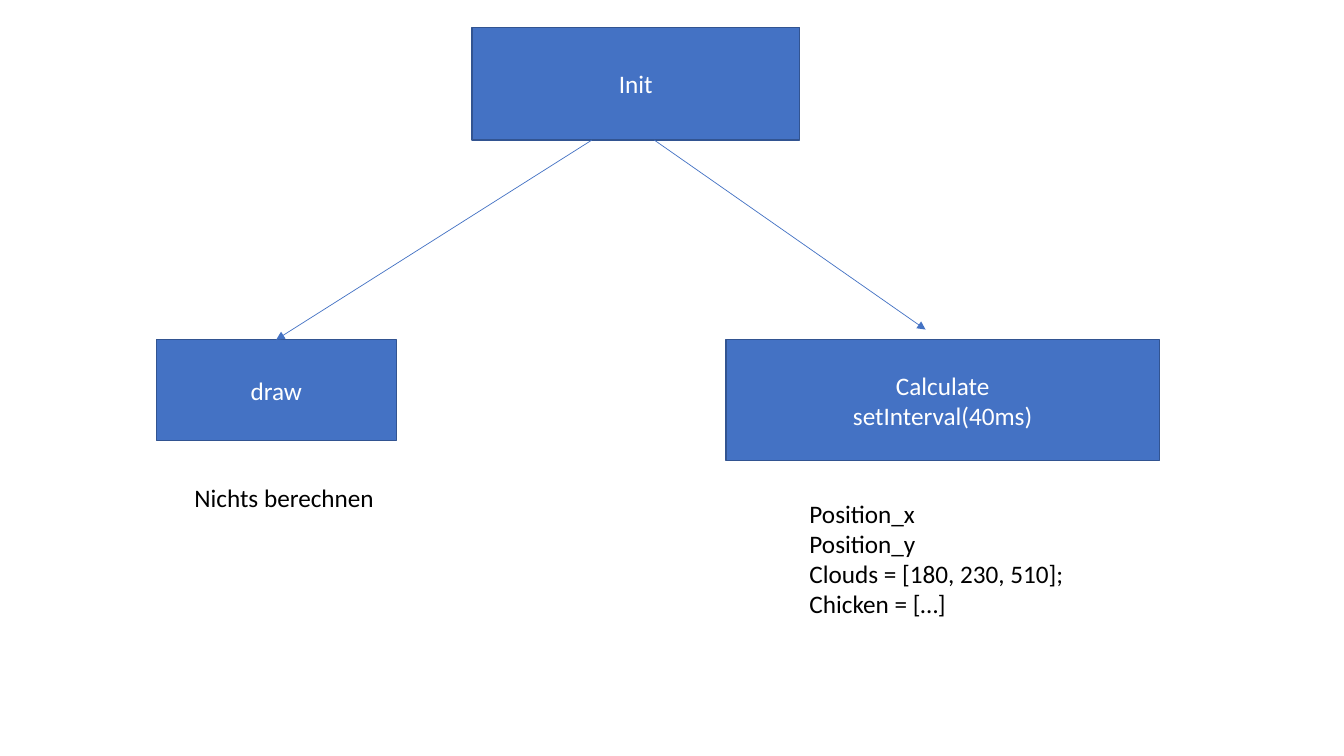
from lxml import etree
from pptx import Presentation
from pptx.dml.color import RGBColor
from pptx.enum.shapes import MSO_CONNECTOR, MSO_SHAPE
from pptx.enum.text import MSO_ANCHOR, MSO_AUTO_SIZE, PP_ALIGN
from pptx.oxml.ns import qn
from pptx.util import Inches, Pt

BLUE = RGBColor(0x44, 0x72, 0xC4)
DARK_BLUE = RGBColor(0x32, 0x54, 0x91)
WHITE = RGBColor(0xFF, 0xFF, 0xFF)
BLACK = RGBColor(0x00, 0x00, 0x00)


def write_lines(tf, lines, color, align):
    for i, line in enumerate(lines):
        p = tf.paragraphs[0] if i == 0 else tf.add_paragraph()
        p.text = line
        p.alignment = align
        p.font.name = "Calibri"
        p.font.size = Pt(18)
        p.font.color.rgb = color


def add_step(s, box, lines):
    sp = s.shapes.add_shape(MSO_SHAPE.RECTANGLE, *map(Inches, box))
    sp.shadow.inherit = False
    sp.fill.solid()
    sp.fill.fore_color.rgb = BLUE
    sp.line.color.rgb = DARK_BLUE
    sp.line.width = Pt(1)
    sp.text_frame.vertical_anchor = MSO_ANCHOR.MIDDLE
    write_lines(sp.text_frame, lines, WHITE, PP_ALIGN.CENTER)


def add_note(s, box, lines, wrap):
    tf = s.shapes.add_textbox(*map(Inches, box)).text_frame
    tf.word_wrap = wrap
    tf.auto_size = MSO_AUTO_SIZE.SHAPE_TO_FIT_TEXT
    write_lines(tf, lines, BLACK, PP_ALIGN.LEFT)


def add_arrow(s, start, end):
    c = s.shapes.add_connector(MSO_CONNECTOR.STRAIGHT, *map(Inches, start + end))
    c.line.color.rgb = BLUE
    c.line.width = Pt(0.5)
    etree.SubElement(c.line._get_or_add_ln(), qn("a:tailEnd"), type="triangle")
    etree.SubElement(c._element.spPr, qn("a:effectLst"))


def add_branch(s, box, step, note_box, note, start, gap=0, shift=0, wrap=True):
    left, top, width, height = box
    add_step(s, box, step)
    add_arrow(s, start, (left + width / 2 + shift, top - gap))
    dx, dy, note_width, note_height = note_box
    add_note(s, (left + dx, top + height + dy, note_width, note_height), note, wrap)


def build_flow(s, box):
    left, top, width, height = box
    bottom = top + height
    add_step(s, box, ["Init"])
    add_branch(s, (1.55, 3.37, 2.38, 1), ["draw"],
               (0.28, 0.37, 4.19, 0.4), ["Nichts berechnen"],
               (left + 1.19, bottom))
    add_branch(s, (7.2, 3.37, 4.3, 1.2), ["Calculate", "setInterval(40ms)"],
               (0.73, 0.32, 2.75, 1.31),
               ["Position_x", "Position_y", "Clouds = [180, 230, 510];", "Chicken = […]"],
               (left + 1.81, bottom), gap=0.1, shift=-0.17, wrap=False)


prs = Presentation()
prs.slide_width = Inches(13.33)
prs.slide_height = Inches(7.5)
s = prs.slides.add_slide(prs.slide_layouts[6])
build_flow(s, (4.68, 0.27, 3.25, 1.12))
prs.save("out.pptx")
